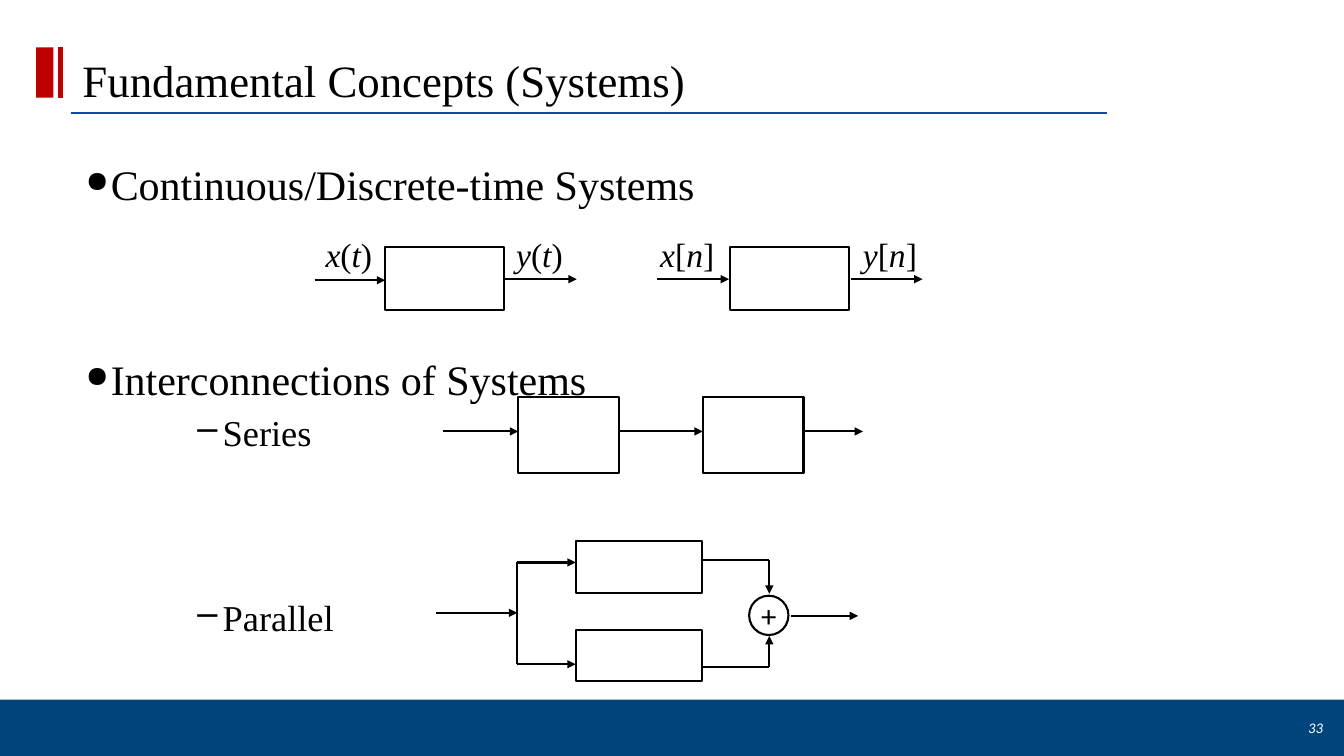
from lxml import etree
from pptx import Presentation
from pptx.dml.color import RGBColor
from pptx.enum.shapes import MSO_CONNECTOR, MSO_SHAPE
from pptx.enum.text import MSO_ANCHOR, PP_ALIGN
from pptx.oxml.ns import qn
from pptx.util import Inches, Pt

RECT, OVAL = MSO_SHAPE.RECTANGLE, MSO_SHAPE.OVAL
STRAIGHT = MSO_CONNECTOR.STRAIGHT
TOP, MIDDLE, BOTTOM = MSO_ANCHOR.TOP, MSO_ANCHOR.MIDDLE, MSO_ANCHOR.BOTTOM
LEFT, CENTER, RIGHT = PP_ALIGN.LEFT, PP_ALIGN.CENTER, PP_ALIGN.RIGHT
BLACK = RGBColor(0x00, 0x00, 0x00)
WHITE = RGBColor(0xFF, 0xFF, 0xFF)
NAVY = RGBColor(0x00, 0x44, 0x7C)
BLUE = RGBColor(0x0B, 0x4D, 0xA2)
RED = RGBColor(0xC0, 0x00, 0x00)
SERIF, SANS = "Times New Roman", "Calibri"

TITLE = "Fundamental Concepts (Systems)"
PAGE = "33"
LISTS = [
    dict(at=(0, 1.52, 8.28, 2.6), size=30, indent=1, bullet="●", percent=70, gap=103.4,
         items=["Continuous/Discrete-time Systems", "Interconnections of Systems"]),
    dict(at=(0.11, 4.02, 4.2, 2.4), size=26, indent=2, bullet="–", percent=100, gap=100.8,
         items=["Series", "Parallel"]),
]
SIGNALS = [
    (3.13, 0.69, "x(t)"),
    (5.02, 0.69, "y(t)"),
    (6.45, 0.76, "x[n]"),
    (8.46, 0.76, "y[n]"),
]
BLOCK_SIZES = {"single": (1.18, 0.63), "series": (1, 0.75), "parallel": (1.25, 0.51)}
BLOCKS = [
    ("single", 3.82, 2.45), ("single", 7.24, 2.45),
    ("series", 5.14, 3.94), ("series", 6.97, 3.94),
    ("parallel", 5.71, 5.37), ("parallel", 5.71, 6.25),
]
ARROWS = [
    (3.12, 2.78, 3.82, 2.78), (5.01, 2.77, 5.72, 2.77),
    (6.52, 2.77, 7.23, 2.77), (8.44, 2.77, 9.15, 2.77),
    (4.39, 4.28, 5.14, 4.28), (6.14, 4.28, 6.97, 4.28), (7.97, 4.28, 8.56, 4.28),
    (4.32, 6.08, 5.13, 6.08), (5.13, 5.58, 5.71, 5.58), (5.13, 6.59, 5.71, 6.59),
    (7.63, 5.56, 7.63, 5.89), (7.63, 6.62, 7.63, 6.31), (7.85, 6.11, 8.51, 6.11),
]
WIRES = [(5.13, 6.59, 5.13, 5.58), (6.96, 5.56, 7.63, 5.56), (6.96, 6.62, 7.63, 6.62)]
SUM_AT = (7.43, 5.91, 0.39, 0.39)

prs = Presentation()
prs.slide_width, prs.slide_height = Inches(13.33), Inches(7.5)
s = prs.slides.add_slide(prs.slide_layouts[6])


def add_shape(kind, at, fill=None, line=None):
    sp = s.shapes.add_shape(kind, *map(Inches, at))
    sp.shadow.inherit = False
    if fill is None:
        sp.fill.background()
    else:
        sp.fill.solid()
        sp.fill.fore_color.rgb = fill
    if line is None:
        sp.line.fill.background()
    else:
        sp.line.color.rgb = line
        sp.line.width = Pt(1.5)
    return sp


def add_line(ends, color=BLACK, width=1.5, arrow=False):
    c = s.shapes.add_connector(STRAIGHT, *map(Inches, ends))
    c.line.color.rgb = color
    c.line.width = Pt(width)
    if arrow:
        etree.SubElement(c.line._get_or_add_ln(), qn("a:tailEnd"), type="triangle")
    etree.SubElement(c._element.spPr, qn("a:effectLst"))


def add_run(p, text, size, name=SERIF, color=BLACK, italic=False):
    r = p.add_run()
    r.text = text
    r.font.color.rgb = color
    for key, value in dict(size=Pt(size), name=name, italic=italic).items():
        setattr(r.font, key, value)


def add_text(at, anchor=TOP, align=LEFT, wrap=True):
    tf = s.shapes.add_textbox(*map(Inches, at)).text_frame
    tf.word_wrap, tf.vertical_anchor = wrap, anchor
    tf.paragraphs[0].alignment = align
    return tf


def add_bullet(p, indent, bullet, percent):
    pPr = p._p.get_or_add_pPr()
    pPr.set("marL", str(Inches(indent)))
    pPr.set("indent", str(Inches(-0.25)))
    etree.SubElement(pPr, qn("a:buSzPct"), val=str(percent * 1000))
    etree.SubElement(pPr, qn("a:buChar"), char=bullet)


add_shape(RECT, (0, 6.94, 13.33, 0.56), NAVY)
add_line((0.7, 1.12, 10.98, 1.12), BLUE)
add_shape(RECT, (0.36, 0.47, 0.17, 0.5), RED)
add_line((0.6, 0.47, 0.6, 0.97), RED, 3)

tf = add_text((0.72, 0.25, 10.26, 0.86), BOTTOM)
add_run(tf.paragraphs[0], TITLE, 32)
tf = add_text((11.79, 7.02, 1.43, 0.4), MIDDLE, RIGHT)
add_run(tf.paragraphs[0], PAGE, 10.5, SANS, WHITE, True)

for group in LISTS:
    tf = add_text(group["at"])
    for i, item in enumerate(group["items"]):
        p = tf.add_paragraph() if i else tf.paragraphs[0]
        if i:
            p.space_before = Pt(group["gap"])
        add_bullet(p, group["indent"], group["bullet"], group["percent"])
        add_run(p, item, group["size"])

for left, width, label in SIGNALS:
    tf = add_text((left, 2.27, width, 0.51), wrap=False)
    for char in label:
        add_run(tf.paragraphs[0], char, 24, italic=char.isalpha())

for kind, left, top in BLOCKS:
    add_shape(RECT, (left, top, *BLOCK_SIZES[kind]), line=BLACK)
for ends in ARROWS:
    add_line(ends, arrow=True)
for ends in WIRES:
    add_line(ends)

tf = add_shape(OVAL, SUM_AT, line=BLACK).text_frame
tf.word_wrap, tf.vertical_anchor = False, MIDDLE
tf.paragraphs[0].alignment = CENTER
add_run(tf.paragraphs[0], "+", 22, SANS)

prs.save("out.pptx")
